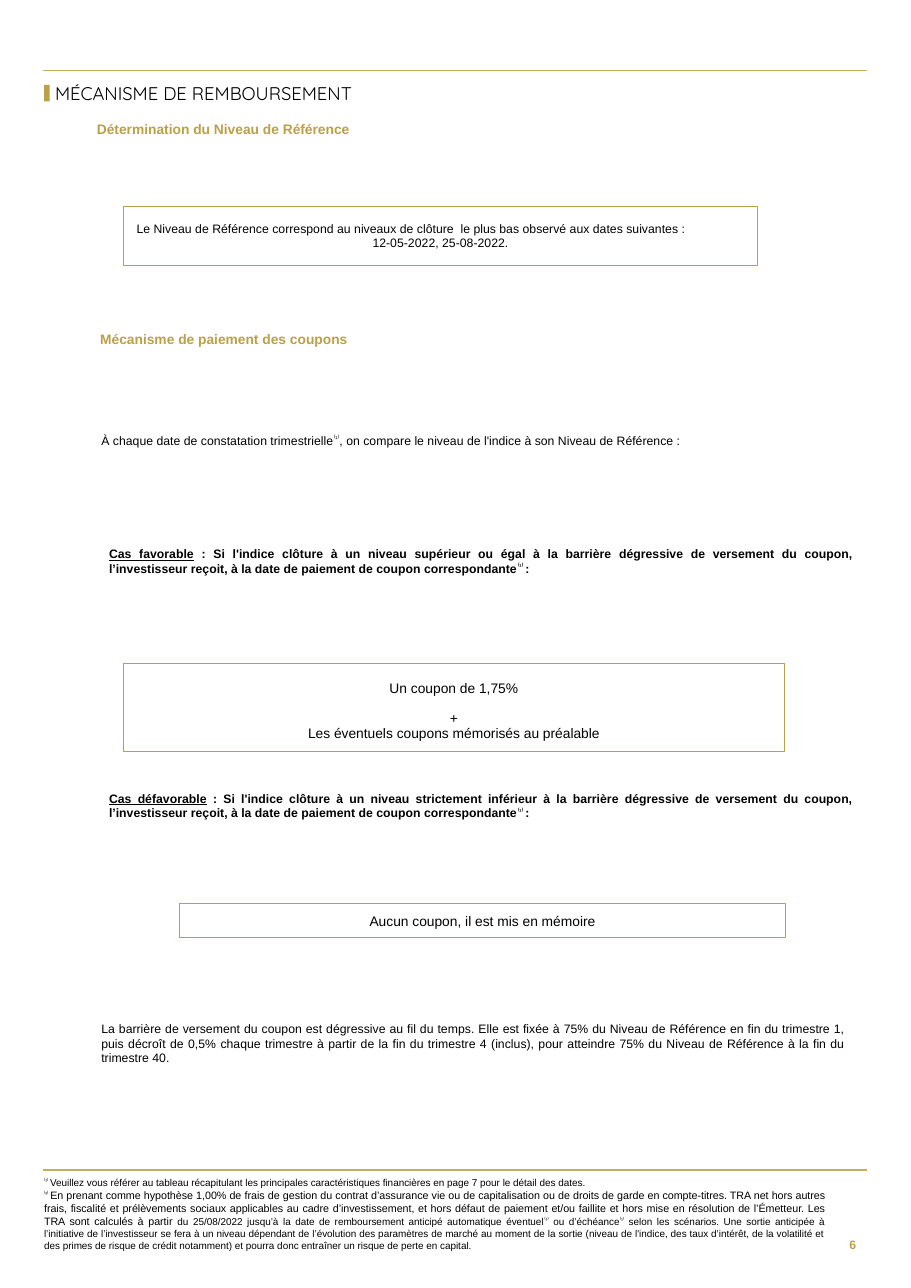
from dataclasses import dataclass

from lxml.etree import SubElement
from pptx import Presentation
from pptx.dml.color import RGBColor
from pptx.enum.shapes import MSO_CONNECTOR, MSO_SHAPE
from pptx.enum.text import MSO_ANCHOR, PP_ALIGN
from pptx.oxml.ns import qn
from pptx.util import Pt

PX = 9144
LEFT, CENTER, RIGHT, JUSTIFY = PP_ALIGN.LEFT, PP_ALIGN.CENTER, PP_ALIGN.RIGHT, PP_ALIGN.JUSTIFY


@dataclass(frozen=True)
class Theme:
    gold: RGBColor = RGBColor(0xB9, 0xA0, 0x49)
    rule: RGBColor = RGBColor(0xC5, 0xAF, 0x5C)
    ink: RGBColor = RGBColor(0, 0, 0)
    paper: RGBColor = RGBColor(255, 255, 255)
    body_font: str = "Arial"
    title_font: str = "Quicksand"
    title: float = 12
    heading: float = 9
    body: float = 8
    note: float = 7
    small: float = 6.5


T = Theme()


def px(*values):
    return [v * PX for v in values]


def add_run(p, text, size=T.body, color=T.ink, font=T.body_font, bold=False, underline=False, sup=False):
    r = p.add_run()
    r.text = text
    r.font.size = Pt(size)
    r.font.name = font
    r.font.color.rgb = color
    r.font.bold = bold
    r.font.underline = underline
    if sup:
        r.font._element.set("baseline", "30000")


def fill_frame(tf, paragraphs, insets=(0, 0, 0, 0), anchor=MSO_ANCHOR.TOP, spacing=None):
    tf.word_wrap = True
    tf.vertical_anchor = anchor
    tf.margin_left, tf.margin_top, tf.margin_right, tf.margin_bottom = px(*insets)
    for i, (align, before, runs) in enumerate(paragraphs):
        p = tf.add_paragraph() if i else tf.paragraphs[0]
        p.alignment = align
        if before:
            p.space_before = Pt(before)
        if spacing:
            p.line_spacing = spacing
        for text, style in runs:
            add_run(p, text, **style)


def add_text(s, box, paragraphs, **frame):
    fill_frame(s.shapes.add_textbox(*px(*box)).text_frame, paragraphs, **frame)


def add_rect(s, box, fill, line=None, width=0.75):
    sp = s.shapes.add_shape(MSO_SHAPE.RECTANGLE, *px(*box))
    sp.shadow.inherit = False
    sp.fill.solid()
    sp.fill.fore_color.rgb = fill
    if line:
        sp.line.color.rgb = line
        sp.line.width = Pt(width)
    else:
        sp.line.fill.background()
    return sp


def add_frame(s, box, paragraphs, insets, width=0.75, spacing=None):
    sp = add_rect(s, box, T.paper, T.gold, width)
    fill_frame(sp.text_frame, paragraphs, insets, MSO_ANCHOR.MIDDLE, spacing)


def add_rule(s, x, y, w):
    c = s.shapes.add_connector(MSO_CONNECTOR.STRAIGHT, *px(x, y, x + w, y))
    c.line.color.rgb = T.rule
    c.line.width = Pt(0.75)
    SubElement(c._element.spPr, qn("a:effectLst"))


def add_heading(s, x, y, w, text):
    add_text(s, (x, y, w, 18), [(LEFT, 0, [(text, dict(size=T.heading, color=T.gold, bold=True))])])


def header(s, box, title):
    x, y, w, h = box
    add_rule(s, x, y, w)
    add_rect(s, (x + 1, y + 13, 5, 15), T.gold)
    style = dict(size=T.title, font=T.title_font)
    add_text(s, (x + 11, y + 9, 421, 25), [(LEFT, 0, [(title, style)])],
             anchor=MSO_ANCHOR.MIDDLE, spacing=0.9)


def reference_level(s, box):
    x, y, w, h = box
    add_heading(s, x, y, w, "Détermination du Niveau de Référence")
    add_frame(s, (x + 24, y + 77, 576, 54), [
        (LEFT, 0, [("Le Niveau de Référence correspond au niveaux de clôture  le plus bas "
                    "observé aux dates suivantes :", {})]),
        (CENTER, 0, [("12-05-2022, 25-08-2022.", {})]),
    ], (12, 20, 12, 20), width=0.5)


def coupon_case(s, box, name, condition):
    bold = dict(bold=True)
    add_text(s, box, [(JUSTIFY, 0, [
        (name, dict(bold=True, underline=True)),
        (f" : Si l'indice clôture à un niveau {condition} à la barrière dégressive de versement "
         "du coupon, l’investisseur reçoit, à la date de paiement de coupon correspondante", bold),
        ("⁽¹⁾ ", dict(bold=True, sup=True)),
        (":", bold),
    ])])


def coupon_payment(s, box):
    x, y, w, h = box
    big = dict(size=T.heading)
    add_heading(s, x, y, w, "Mécanisme de paiement des coupons")
    add_text(s, (x + 1, y + 93, 657, 13), [(JUSTIFY, 0, [
        ("À chaque date de constatation trimestrielle", {}),
        ("⁽¹⁾", dict(sup=True)),
        (", on compare le niveau de l'indice à son Niveau de Référence :", {}),
    ])])
    coupon_case(s, (x + 8, y + 196, w, 27), "Cas favorable", "supérieur ou égal")
    add_frame(s, (x + 21, y + 302, 600, 80), [
        (CENTER, 0, [("Un coupon de 1,75%", big)]),
        (CENTER, 10, [("+", big)]),
        (CENTER, 0, [("Les éventuels coupons mémorisés au préalable", big)]),
    ], (12, 15, 12, 8), spacing=0.9)
    coupon_case(s, (x + 8, y + 418, w, 27), "Cas défavorable", "strictement inférieur")
    add_frame(s, (x + 72, y + 520, 550, 31),
              [(CENTER, 0, [("Aucun coupon, il est mis en mémoire", big)])], (12, 8, 12, 8))
    add_text(s, (x + 1, y + 627, w, 40), [(JUSTIFY, 0, [(
        "La barrière de versement du coupon est dégressive au fil du temps. Elle est fixée à 75% du "
        "Niveau de Référence en fin du trimestre 1, puis décroît de 0,5% chaque trimestre à partir de "
        "la fin du trimestre 4 (inclus), pour atteindre 75% du Niveau de Référence à la fin du "
        "trimestre 40.", {})])])


def footer(s, box, number):
    x, y, w, h = box
    small, note = dict(size=T.small), dict(size=T.note)
    sup = dict(size=T.small, sup=True)
    add_rule(s, x, y, w)
    add_text(s, (x + 1, y + 6, 709, 68), [
        (JUSTIFY, 0, [
            ("⁽¹⁾ ", sup),
            ("Veuillez vous référer au tableau récapitulant les principales caractéristiques "
             "financières en page 7 pour le détail des dates.", small),
        ]),
        (JUSTIFY, 0, [
            ("⁽²⁾ ", sup),
            ("En prenant comme hypothèse 1,00% de frais de gestion du contrat d’assurance vie ou de "
             "capitalisation ou de droits de garde en compte-titres. TRA net hors autres frais, "
             "fiscalité et prélèvements sociaux applicables au cadre d’investissement, et hors défaut "
             "de paiement et/ou faillite et hors mise en résolution de l’Émetteur. Les TRA sont "
             "calculés à partir ", note),
            ("du 25/08/2022 jusqu’à la date de remboursement anticipé automatique éventuel", small),
            ("⁽¹⁾", sup),
            (" ou d’échéance", small),
            ("⁽¹⁾", sup),
            (" selon les scénarios. Une sortie anticipée à l’initiative de l’investisseur se fera à un "
             "niveau dépendant de l’évolution des paramètres de marché au moment de la sortie (niveau "
             "de l'indice, des taux d’intérêt, de la volatilité et des primes de risque de crédit "
             "notamment) et pourra donc entraîner un risque de perte en capital.", small),
        ]),
    ])
    style = dict(size=T.body, color=T.gold, bold=True)
    add_text(s, (x + w - 39, y + 47, 39, 42), [(RIGHT, 0, [(number, style)])],
             insets=(10, 5, 10, 5), anchor=MSO_ANCHOR.MIDDLE)


def main():
    prs = Presentation()
    prs.slide_width, prs.slide_height = px(827, 1169)
    s = prs.slides.add_slide(prs.slide_layouts[6])
    header(s, (39, 64, 748, 34), "MÉCANISME DE REMBOURSEMENT")
    reference_level(s, (88, 110, 600, 131))
    coupon_payment(s, (91, 300, 676, 667))
    footer(s, (39, 1062, 748, 89), "6")
    prs.save("out.pptx")


if __name__ == "__main__":
    main()
